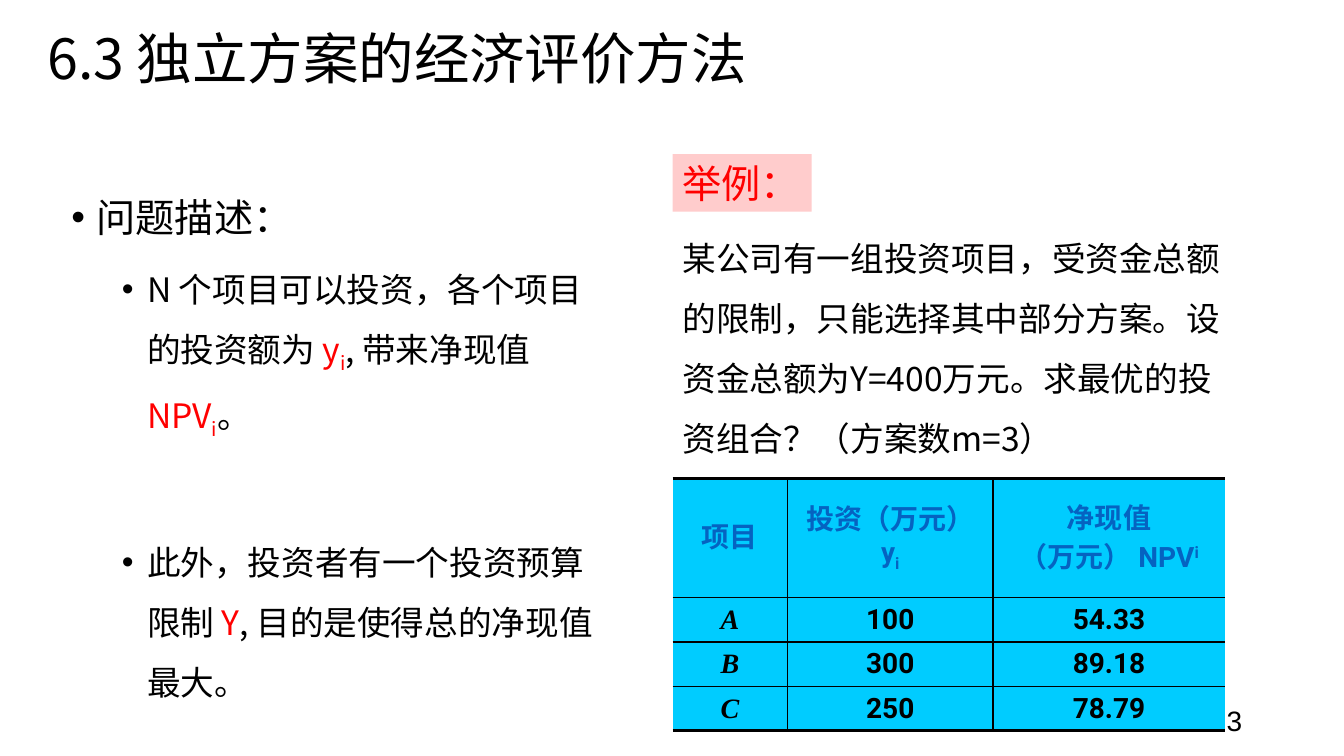
from dataclasses import dataclass
from typing import Any

from lxml import etree
from pptx import Presentation
from pptx.dml.color import RGBColor
from pptx.enum.shapes import MSO_SHAPE
from pptx.enum.text import MSO_ANCHOR, MSO_AUTO_SIZE, PP_ALIGN
from pptx.oxml.ns import qn
from pptx.util import Emu, Pt

LEFT, CENTER, RIGHT, JUSTIFY = PP_ALIGN.LEFT, PP_ALIGN.CENTER, PP_ALIGN.RIGHT, PP_ALIGN.JUSTIFY
TOP, MIDDLE = MSO_ANCHOR.TOP, MSO_ANCHOR.MIDDLE
RECTANGLE = MSO_SHAPE.RECTANGLE
NO_FIT = MSO_AUTO_SIZE.NONE
TITLE_ONLY = 5
SCALE = 9144  # EMU in one px, at 100 px to the inch


@dataclass(frozen=True)
class Theme:
    black: str = "000000"
    red: str = "FF0000"
    pink: str = "FFCCCC"
    cyan: str = "00CCFF"
    blue: str = "0563C1"
    main_font: str = "Noto Sans CJK SC"
    table_font: str = "Roboto"
    letter_font: str = "Times New Roman"
    number_font: str = "Arial"
    title_size: float = 39.6
    heading_size: float = 28
    text_size: float = 24
    small_size: float = 20


THEME = Theme()


@dataclass(frozen=True)
class Box:
    left: int
    top: int
    width: int
    height: int

    def emu(self) -> tuple[Emu, ...]:
        return tuple(px(side) for side in (self.left, self.top, self.width, self.height))


@dataclass(frozen=True)
class Span:
    text: str
    color: str = THEME.black
    baseline: int = 0


@dataclass(frozen=True)
class Bullet:
    spans: list[Span]
    level: int
    margin: int
    size: float
    line_spacing: Any
    space_before: float


@dataclass(frozen=True)
class Project:
    name: str
    investment: str
    net_value: str


BULLETS = [
    Bullet([Span("问题描述：")], 0, 25, THEME.heading_size, Pt(50), 10),
    Bullet([Span("N 个项目可以投资，各个项目的投资额为 "),
            Span("y", THEME.red), Span("i", THEME.red, -25), Span(", 带来净现值"),
            Span("NPV", THEME.red), Span("i", THEME.red, -25), Span("。")],
           1, 75, THEME.text_size, Pt(47), 2),
    Bullet([Span("此外，投资者有一个投资预算限制 "), Span("Y", THEME.red),
            Span(", 目的是使得总的净现值最大。")],
           1, 75, THEME.text_size, Pt(43), 58),
]
HEADERS = [
    [[Span("项目", THEME.blue)]],
    [[Span("投资（万元） y", THEME.blue), Span("i", THEME.blue, -25)]],
    [[Span("净现值", THEME.blue)],
     [Span("（万元） NPV", THEME.blue), Span("i", THEME.blue, 30)]],
]
PROJECTS = [Project("A", "100", "54.33"), Project("B", "300", "89.18"), Project("C", "250", "78.79")]
COLUMN_WIDTHS = [114, 204, 230]
ROW_HEIGHTS = [118, 44, 44, 44]


def px(length: int) -> Emu:
    return Emu(length * SCALE)


def write(paragraph: Any, spans: list[Span], *, size: float, font: str = THEME.main_font,
          bold: bool = False, italic: bool = False, align: Any = LEFT,
          line_spacing: Any = None, space_before: float = 0) -> None:
    """Fill a paragraph with formatted runs."""
    paragraph.alignment = align
    paragraph.space_before = Pt(space_before)
    if line_spacing is not None:
        paragraph.line_spacing = line_spacing
    for span in spans:
        run = paragraph.add_run()
        run.text = span.text
        run.font.size = Pt(size)
        run.font.name = font
        run.font.bold, run.font.italic = bold, italic
        run.font.color.rgb = RGBColor.from_string(span.color)
        properties = run._r.get_or_add_rPr()
        east_asian = etree.Element(qn("a:ea"), typeface=font)
        properties.find(qn("a:latin")).addnext(east_asian)
        if span.baseline:
            properties.set("baseline", str(span.baseline * 1000))


def prepare_frame(shape: Any, anchor: Any = TOP, wrap: bool = True) -> Any:
    frame = shape.text_frame
    frame.auto_size = NO_FIT
    frame.word_wrap = wrap
    frame.vertical_anchor = anchor
    return frame


def add_text_box(slide: Any, box: Box, anchor: Any = TOP) -> Any:
    return prepare_frame(slide.shapes.add_textbox(*box.emu()), anchor)


def add_bullets(slide: Any, box: Box, bullets: list[Bullet]) -> None:
    frame = add_text_box(slide, box)
    for index, bullet in enumerate(bullets):
        paragraph = frame.add_paragraph() if index else frame.paragraphs[0]
        paragraph.level = bullet.level
        write(paragraph, bullet.spans, size=bullet.size, line_spacing=bullet.line_spacing,
              space_before=bullet.space_before)
        properties = paragraph._p.get_or_add_pPr()
        properties.set("marL", str(px(bullet.margin)))
        properties.set("indent", str(px(-25)))
        etree.SubElement(properties, qn("a:buFont"), typeface=THEME.number_font)
        etree.SubElement(properties, qn("a:buChar"), char="•")


def set_borders(cell: Any, widths: dict[str, float]) -> None:
    """Draw the cell's sides; a width of 0 leaves a side open."""
    properties = cell._tc.get_or_add_tcPr()
    for side, width in widths.items():
        line = etree.SubElement(properties, qn(f"a:ln{side}"), w=str(Pt(width)))
        if width:
            fill = etree.SubElement(line, qn("a:solidFill"))
            etree.SubElement(fill, qn("a:srgbClr"), val=THEME.black)
        else:
            etree.SubElement(line, qn("a:noFill"))


def add_project_table(slide: Any, box: Box) -> None:
    last_row, last_column = len(ROW_HEIGHTS) - 1, len(COLUMN_WIDTHS) - 1
    table = slide.shapes.add_table(last_row + 1, last_column + 1, *box.emu()).table
    table.first_row = table.horz_banding = False
    for column, width in zip(table.columns, COLUMN_WIDTHS):
        column.width = px(width)
    for row, height in zip(table.rows, ROW_HEIGHTS):
        row.height = px(height)
    rows = [HEADERS] + [[[[Span(text)]] for text in (project.name, project.investment, project.net_value)]
                        for project in PROJECTS]
    for row_index, row in enumerate(rows):
        for column_index, lines in enumerate(row):
            cell = table.cell(row_index, column_index)
            set_borders(cell, {"L": 1 if column_index else 0,
                               "R": 1 if column_index < last_column else 0,
                               "T": 1 if row_index else 2.25,
                               "B": 1 if row_index < last_row else 2.25})
            cell.fill.solid()
            cell.fill.fore_color.rgb = RGBColor.from_string(THEME.cyan)
            cell.vertical_anchor = MIDDLE
            is_name = row_index > 0 and column_index == 0
            for index, spans in enumerate(lines):
                paragraph = cell.text_frame.add_paragraph() if index else cell.text_frame.paragraphs[0]
                write(paragraph, spans, size=THEME.small_size, bold=True, italic=is_name, align=CENTER,
                      font=THEME.letter_font if is_name else THEME.table_font, space_before=4)


def main() -> None:
    presentation = Presentation()
    presentation.slide_width, presentation.slide_height = px(1333), px(750)
    slide = presentation.slides.add_slide(presentation.slide_layouts[TITLE_ONLY])

    # Title and page number
    title = slide.shapes.title
    title.left, title.top, title.width, title.height = Box(37, 36, 1143, 51).emu()
    write(prepare_frame(title, MIDDLE).paragraphs[0], [Span("6.3 独立方案的经济评价方法")],
          size=THEME.title_size, line_spacing=0.9)
    number = add_text_box(slide, Box(942, 695, 300, 40), MIDDLE)
    write(number.paragraphs[0], [Span("3")], size=THEME.small_size, font=THEME.number_font, align=RIGHT)

    # Problem description
    add_bullets(slide, Box(61, 164, 548, 519), BULLETS)

    # Example: table, label and question
    add_project_table(slide, Box(667, 475, 548, 250))
    label = slide.shapes.add_shape(RECTANGLE, *Box(667, 153, 138, 57).emu())
    label.shadow.inherit = False
    label.fill.solid()
    label.fill.fore_color.rgb = RGBColor.from_string(THEME.pink)
    label.line.fill.background()
    write(prepare_frame(label, MIDDLE, wrap=False).paragraphs[0], [Span("举例：", THEME.red)],
          size=THEME.heading_size, align=JUSTIFY)
    question = add_text_box(slide, Box(667, 211, 571, 245))
    write(question.paragraphs[0],
          [Span("某公司有一组投资项目，受资金总额的限制，只能选择其中部分方案。"
                "设资金总额为Y=400万元。求最优的投资组合？（方案数m=3）")],
          size=THEME.text_size, line_spacing=Pt(43))

    presentation.save("out.pptx")


if __name__ == "__main__":
    main()
